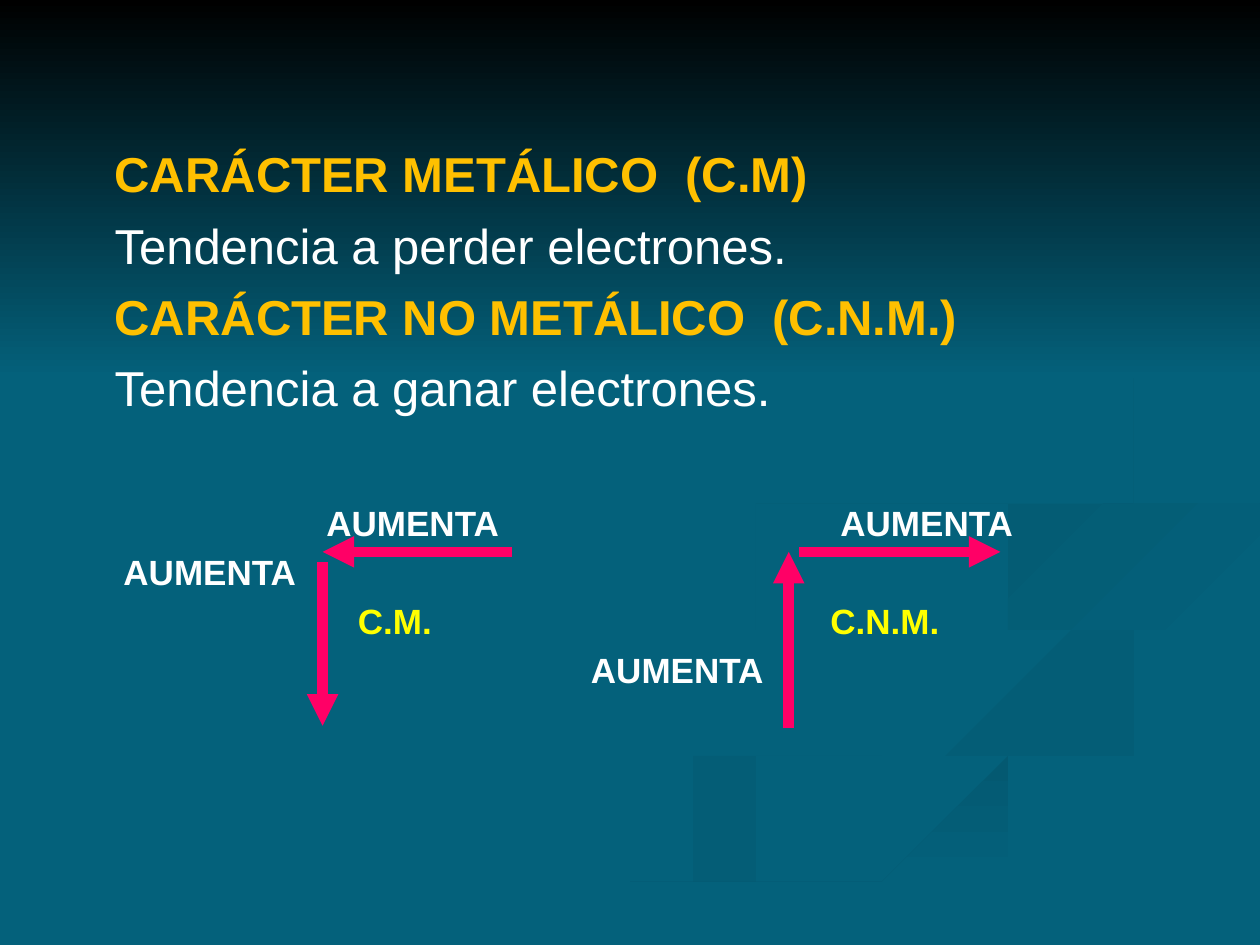
"""Build the slide on metallic and non-metallic character."""
from lxml.etree import SubElement
from pptx import Presentation
from pptx.dml.color import RGBColor as RGB
from pptx.enum.shapes import MSO_CONNECTOR as LINK
from pptx.oxml.ns import qn
from pptx.util import Inches, Pt

WHITE = RGB.from_string("FFFFFF")
GOLD = RGB.from_string("FFC000")
YELLOW = RGB.from_string("FFFF00")
PINK = RGB.from_string("FF0066")
BLACK = RGB.from_string("000000")
TEAL = RGB.from_string("04617B")
DARK = RGB.from_string("045D76")
DEEP = RGB.from_string("045971")
DUSK = RGB.from_string("045C74")
SHADE = RGB.from_string("045A72")

BODY = [
    ("CARÁCTER METÁLICO  (C.M)", GOLD, True),
    ("Tendencia a perder electrones.", WHITE, False),
    ("CARÁCTER NO METÁLICO  (C.N.M.)", GOLD, True),
    ("Tendencia a ganar electrones.", WHITE, False),
]
LABELS = [
    ("AUMENTA", 2.59, 0, WHITE),
    ("AUMENTA", 6.67, 0, WHITE),
    ("AUMENTA", 0.98, 1, WHITE),
    ("C.M.", 2.84, 2, YELLOW),
    ("C.N.M.", 6.59, 2, YELLOW),
    ("AUMENTA", 4.69, 3, WHITE),
]
ROW_TOP, ROW_STEP = 3.98, 0.39
ARROWS = [
    (4.06, 4.38, 2.56, 4.38),
    (2.56, 4.46, 2.56, 5.76),
    (6.34, 4.38, 7.94, 4.38),
    (6.26, 5.78, 6.26, 4.38),
]
RIBBONS = [
    (TEAL, DARK, 0,
     [(5.75, 4.59), (5.81, 4.84), (6.97, 5.25), (7.86, 5.66), (7.14, 6.05),
      (4.99, 6.61), (3, 7.49)],
     [(3.61, 7.49), (5.32, 6.74), (7.4, 6.18), (8, 5.81), (7.57, 5.43),
      (6.14, 4.96)]),
    (TEAL, DARK, 45,
     [(7.24, 4.64), (7.46, 5), (8.38, 5.36), (9.18, 5.81), (8.94, 6.05)],
     [(9.43, 5.7), (9.05, 5.4), (7.58, 4.98)]),
    (DEEP, TEAL, 90,
     [(5.03, 7.49), (6.29, 6.93), (7.64, 6.47), (9.98, 5.81)],
     [(9.98, 6.09), (7.85, 6.61), (5.71, 7.49)]),
    (DUSK, TEAL, 45,
     [(8.26, 4.96), (8.05, 4.72), (8.59, 4.43), (9.98, 4.2)],
     [(9.98, 4.02), (8.65, 4.24), (7.82, 4.6)]),
    (SHADE, TEAL, 45,
     [(7.63, 2.33), (8.46, 2.79), (8.89, 3.35), (8.42, 3.78), (6.49, 4.2),
      (5.77, 4.62), (6.22, 5)],
     [(5.93, 4.7), (6.5, 4.36), (8.25, 4.02), (8.94, 3.44), (8.43, 2.75)]),
]
SHADOW_H = 3.08
STEPS = 6


def smooth(points):
    """Return a Catmull-Rom curve through the points."""
    pads = [points[0], *points, points[-1]]
    curve = []
    for a, b, c, d in zip(pads, pads[1:], pads[2:], pads[3:]):
        for t in (i / STEPS for i in range(STEPS)):
            curve.append(tuple(
                q + t * (r - p) / 2
                + t ** 2 * (2 * p - 5 * q + 4 * r - s) / 2
                + t ** 3 * (3 * q - p - 3 * r + s) / 2
                for p, q, r, s in zip(a, b, c, d)))
    return curve + [points[-1]]


def fade(shape, start, end, angle):
    """Give a shape a two-colour gradient and no line."""
    shape.shadow.inherit = False
    shape.line.fill.background()
    shape.fill.gradient()
    shape.fill.gradient_angle = -angle % 360
    for stop, color in zip(shape.fill.gradient_stops, (start, end)):
        stop.color.rgb = color


def add_shape(slide, points):
    """Draw a closed outline."""
    pen = slide.shapes.build_freeform(*points[0], scale=Inches(1))
    pen.add_line_segments(points[1:], close=True)
    return pen.convert_to_shape()


def add_box(slide, x, y, w, h):
    """Add an empty text frame with no insets."""
    frame = slide.shapes.add_textbox(*map(Inches, (x, y, w, h))).text_frame
    frame.word_wrap = True
    frame.margin_left = frame.margin_right = 0
    frame.margin_top = frame.margin_bottom = 0
    return frame


def put_text(para, text, *, size, color, bold=False, after=0):
    """Write one formatted run into a paragraph."""
    para.space_after = Pt(after)
    run = para.add_run()
    run.text = text
    run.font.name = "Arial"
    run.font.size = Pt(size)
    run.font.bold = bold
    run.font.color.rgb = color


def add_arrow(slide, ends):
    """Draw a thick arrow that points at its last end."""
    link = slide.shapes.add_connector(LINK.STRAIGHT, *map(Inches, ends))
    link.line.color.rgb = PINK
    link.line.width = Pt(6)
    SubElement(link.line._get_or_add_ln(), qn("a:tailEnd"), type="triangle")
    SubElement(link._element.spPr, qn("a:effectLst"))


def main():
    """Put the slide together and save it."""
    deck = Presentation()
    deck.slide_width, deck.slide_height = Inches(10), Inches(7.5)
    slide = deck.slides.add_slide(deck.slide_layouts[6])
    slide.background.fill.solid()
    slide.background.fill.fore_color.rgb = TEAL
    for start, end, angle, out, back in RIBBONS:
        fade(add_shape(slide, smooth(out) + smooth(back)), start, end, angle)
    corners = [(0, 0), (0, SHADOW_H), (10, SHADOW_H), (10, 0)]
    fade(add_shape(slide, corners), BLACK, TEAL, 90)
    frame = add_box(slide, 0.91, 1.14, 8.42, 2.2)
    for i, (text, color, bold) in enumerate(BODY):
        para = frame.add_paragraph() if i else frame.paragraphs[0]
        put_text(para, text, size=28, color=color, bold=bold, after=7.2)
    for text, x, row, color in LABELS:
        frame = add_box(slide, x, ROW_TOP + row * ROW_STEP, 1.5, 0.32)
        put_text(frame.paragraphs[0], text, size=20, color=color, bold=True)
    for ends in ARROWS:
        add_arrow(slide, ends)
    deck.save("out.pptx")


if __name__ == "__main__":
    main()
